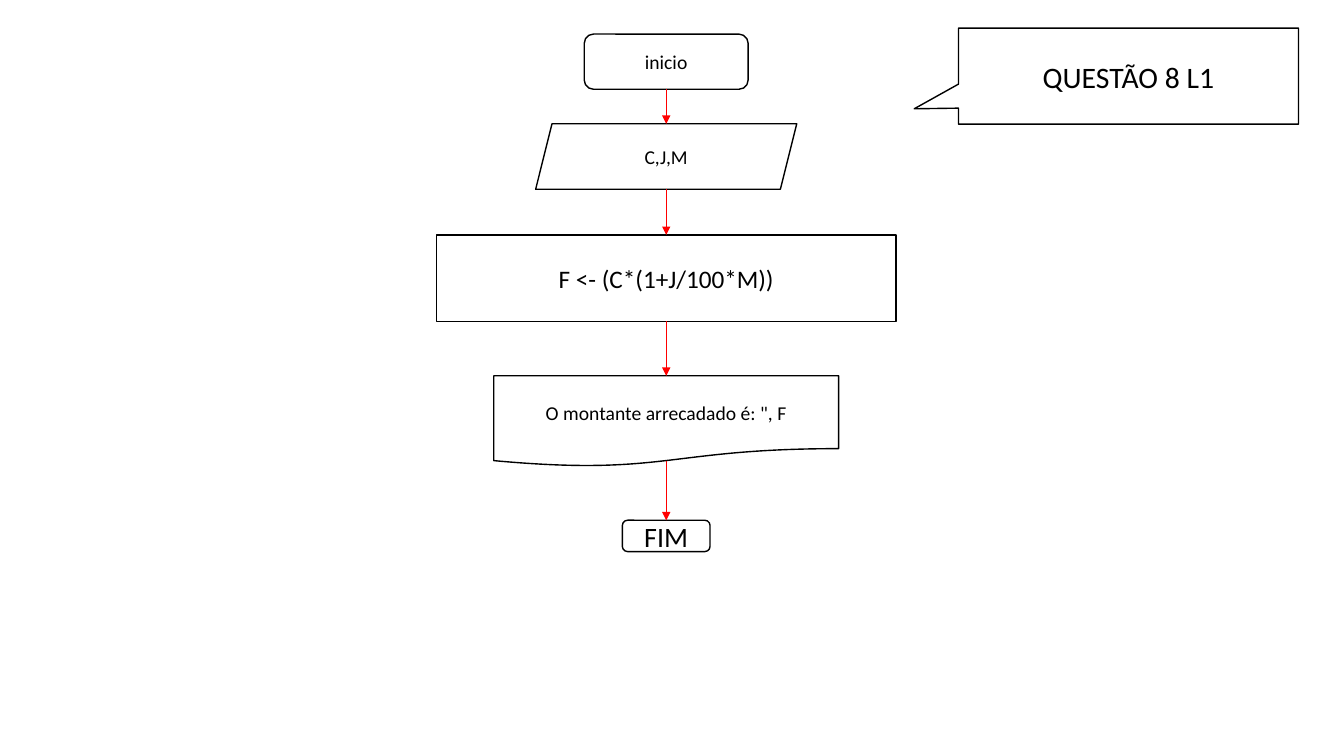
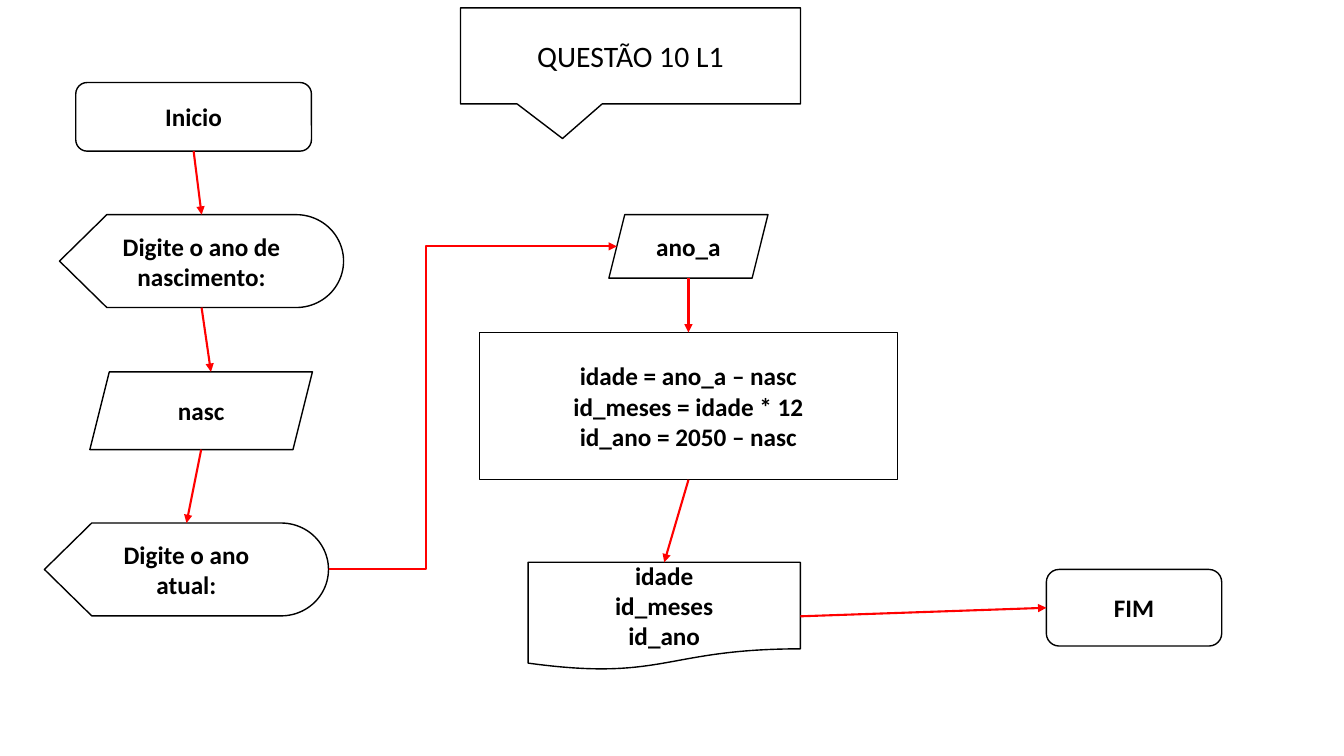
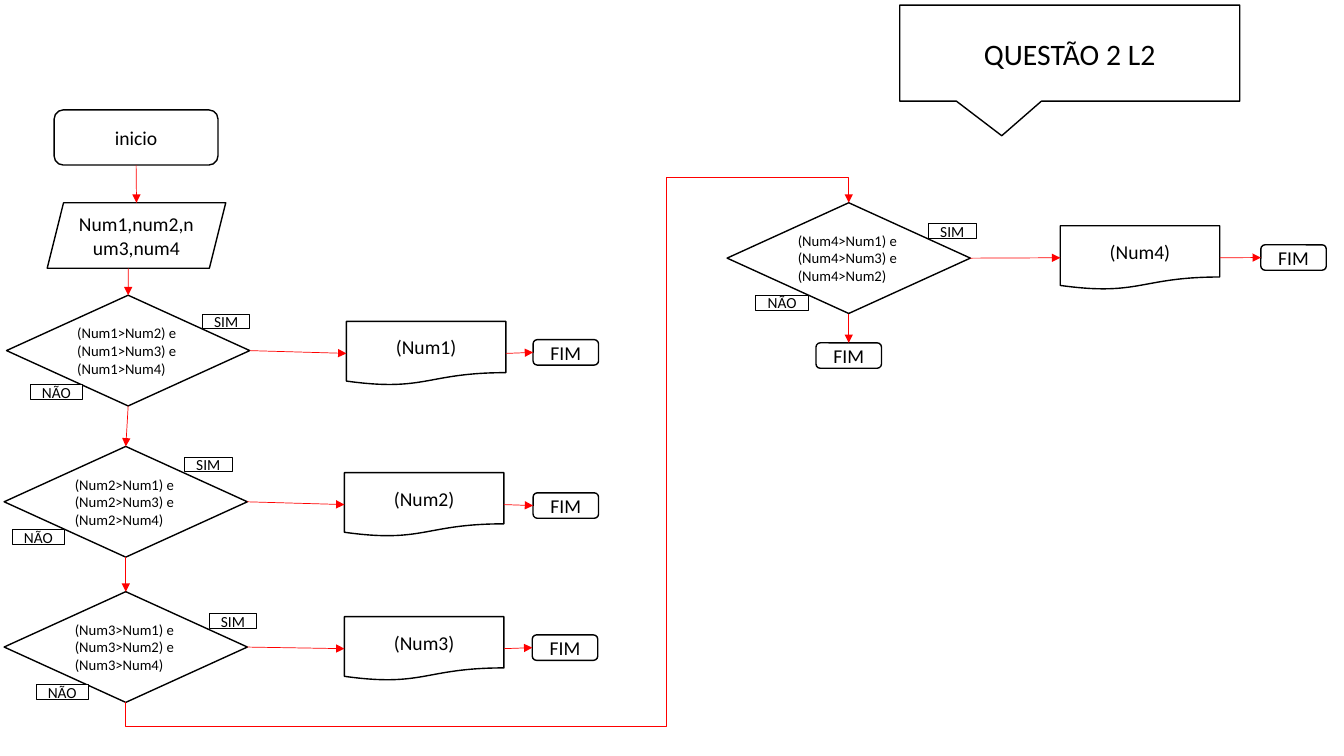
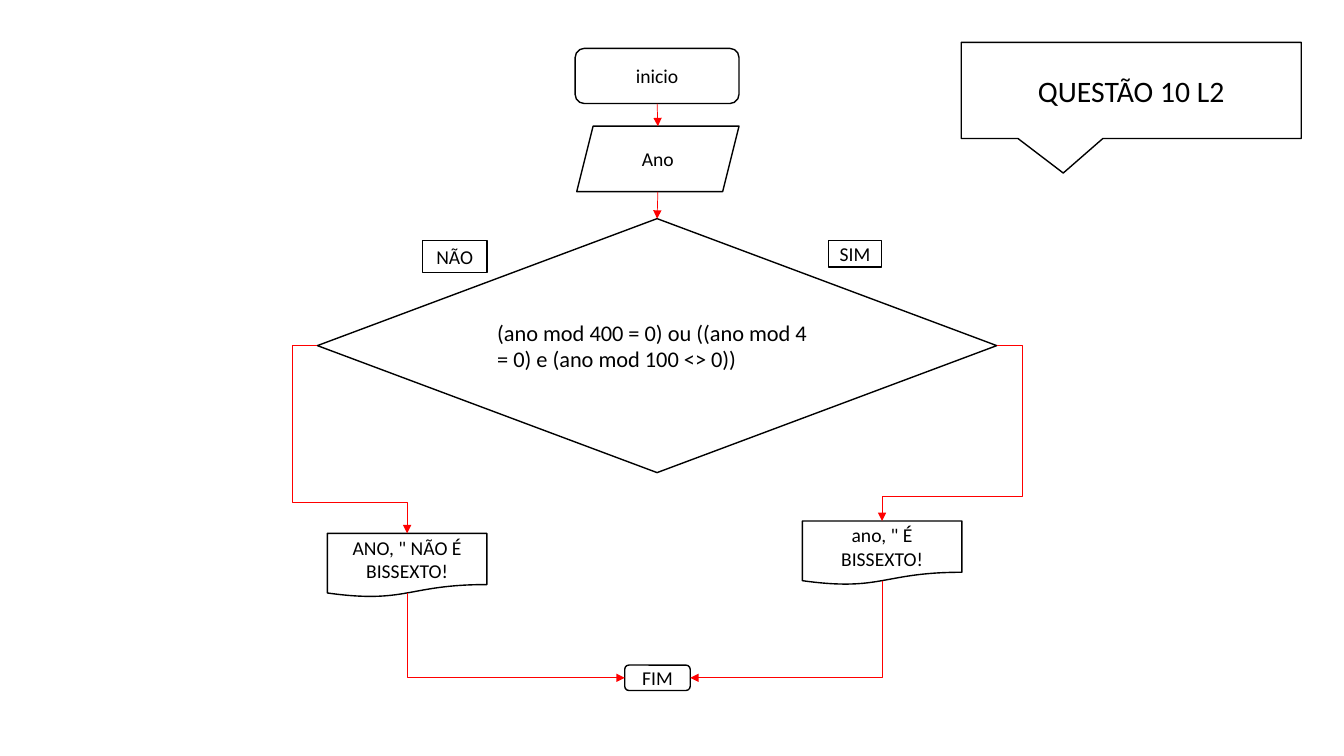
from dataclasses import dataclass

from lxml.etree import SubElement
from pptx import Presentation
from pptx.dml.color import RGBColor
from pptx.enum.shapes import MSO_CONNECTOR, MSO_SHAPE
from pptx.enum.text import MSO_ANCHOR, PP_ALIGN
from pptx.oxml.ns import qn
from pptx.util import Cm, Pt

WHITE = RGBColor(0xFF, 0xFF, 0xFF)
BLACK = RGBColor(0x00, 0x00, 0x00)
RED = RGBColor(0xFF, 0x00, 0x00)
FONT = "Calibri"
LEFT, CENTER = PP_ALIGN.LEFT, PP_ALIGN.CENTER
MIDDLE = MSO_ANCHOR.MIDDLE
STRAIGHT, ELBOW = MSO_CONNECTOR.STRAIGHT, MSO_CONNECTOR.ELBOW

POINTER_LEFT = (-0.63, 0.34)
POINTER_DOWN = (-0.2, 0.86)
SLANT = 0.25
DOCUMENT_BASE = 0.934

SITES = {"top": 0, "left": 1, "bottom": 2, "right": 3}
SLANTED_SITES = {"top": 0, "edge top": 1, "right": 2, "edge bottom": 3, "bottom": 4, "left": 5}


@dataclass
class Kind:
    outline: MSO_SHAPE
    width: float
    height: float
    size: float = 14
    line: float = 1
    align: PP_ALIGN = CENTER


KINDS = {
    "title": Kind(MSO_SHAPE.RECTANGULAR_CALLOUT, 8.57, 2.42, 21.2),
    "start": Kind(MSO_SHAPE.ROUNDED_RECTANGLE, 4.13, 1.39),
    "end": Kind(MSO_SHAPE.ROUNDED_RECTANGLE, 1.65, 0.64),
    "input": Kind(MSO_SHAPE.PARALLELOGRAM, 4.5, 1.65),
    "process": Kind(MSO_SHAPE.RECTANGLE, 11.58, 2.18, 18),
    "prompt": Kind(MSO_SHAPE.FLOWCHART_DISPLAY, 7.16, 2.34),
    "output": Kind(MSO_SHAPE.FLOWCHART_DOCUMENT, 4.02, 1.61),
    "decision": Kind(MSO_SHAPE.DIAMOND, 6.13, 2.79, 10.5, align=LEFT),
    "yes": Kind(MSO_SHAPE.RECTANGLE, 1.2, 0.36, 11, 0.75),
    "no": Kind(MSO_SHAPE.RECTANGLE, 1.32, 0.38, 11, 0.75),
}


@dataclass
class Step:
    kind: str
    text: str
    center: float
    top: float
    width: float = 0
    height: float = 0
    size: float = 0

    def __post_init__(self):
        self.width = self.width or KINDS[self.kind].width
        self.height = self.height or KINDS[self.kind].height

    def site(self, side):
        x, y = self.center, self.top + self.height / 2
        lean = SLANT * min(self.width, self.height) / 2 if self.kind == "input" else 0
        if side.endswith("top"):
            y = self.top
        elif side.endswith("bottom"):
            y = self.top + self.height * (DOCUMENT_BASE if self.kind == "output" else 1)
        elif side == "left":
            x -= self.width / 2 - lean
        else:
            x += self.width / 2 - lean
        if side.startswith("edge"):
            x += lean if side == "edge top" else -lean
        return x, y

    def site_index(self, side):
        return (SLANTED_SITES if self.kind == "input" else SITES)[side]


@dataclass
class Chart:
    title: Step
    pointer: tuple
    steps: dict
    links: list
    arrow: float = 0.5
    size: float = 0
    bold: bool = False


AXIS = 16.79
interest = Chart(
    Step("title", "QUESTÃO 8 L1", 28.44, 0.71), POINTER_LEFT,
    {
        "start": Step("start", "inicio", AXIS, 0.86),
        "input": Step("input", "C,J,M", AXIS, 3.12, 6.58),
        "formula": Step("process", "F <- (C*(1+J/100*M))", AXIS, 5.92),
        "output": Step("output", 'O montante arrecadado é: ", F', AXIS, 9.47, 8.69, 2.29),
        "end": Step("end", "FIM", AXIS, 13.11, 2.21, 0.79, 20),
    },
    [
        ("start", "bottom", "input", "top"),
        ("input", "bottom", "formula", "top"),
        ("formula", "bottom", "output", "top"),
        ("output", "bottom", "end", "top"),
    ],
)

age = Chart(
    Step("title", "QUESTÃO 10 L1", 15.89, 0.2), POINTER_DOWN,
    {
        "start": Step("start", "Inicio", 4.88, 2.08, 5.94, 1.73),
        "ask birth": Step("prompt", "Digite o ano de nascimento:", 5.08, 5.41),
        "birth": Step("input", "nasc", 5.07, 9.37, 5.61, 1.96),
        "ask year": Step("prompt", "Digite o ano atual:", 4.7, 13.18),
        "year": Step("input", "ano_a", 17.35, 5.41, 4.01, 1.6),
        "formulas": Step(
            "process",
            "idade = ano_a – nasc\nid_meses = idade * 12\nid_ano = 2050 – nasc",
            17.35, 8.38, 10.54, 3.71),
        "output": Step("output", "idade\nid_meses\nid_ano", 16.74, 14.17, 6.86, 2.72),
        "end": Step("end", "FIM", 28.58, 14.35, 4.42, 1.93),
    },
    [
        ("start", "bottom", "ask birth", "top"),
        ("ask birth", "bottom", "birth", "edge top"),
        ("birth", "bottom", "ask year", "top"),
        ("ask year", "right", "year", "left", (10.74,)),
        ("year", "bottom", "formulas", "top"),
        ("formulas", "bottom", "output", "top"),
        ("output", "right", "end", "left"),
    ],
    arrow=1.5, size=18, bold=True,
)

largest = Chart(
    Step("title", "QUESTÃO 2 L2", 26.96, 0.13), POINTER_DOWN,
    {
        "start": Step("start", "inicio", 3.43, 2.77),
        "input": Step("input", "Num1,num2,num3,num4", 3.44, 5.11),
        "end": Step("end", "FIM", 21.39, 8.64),
    },
    [
        ("start", "bottom", "input", "top"),
        ("input", "edge bottom", "decision 1", "top"),
        ("decision 1", "bottom", "decision 2", "top"),
        ("decision 2", "bottom", "decision 3", "top"),
        ("decision 3", "bottom", "decision 4", "top", (18.31, 16.79, 4.47)),
        ("decision 4", "bottom", "end", "top"),
    ],
)
COMPARISONS = [
    (1, (2, 3, 4), (3.23, 7.44), (10.74, 8.1), (14.26, 8.56), (5.7, 7.92), (1.42, 9.7)),
    (2, (1, 3, 4), (3.17, 11.25), (10.69, 11.91), (14.26, 12.42), (5.25, 11.53), (0.97, 13.34)),
    (3, (1, 2, 4), (3.17, 14.91), (10.69, 15.54), (14.24, 16), (5.87, 15.47), (1.57, 17.25)),
    (4, (1, 3, 2), (21.39, 5.11), (28.73, 5.69), (32.6, 6.17), (24, 5.64), (19.71, 7.44)),
]
for number, others, decision, output, end, yes, no in COMPARISONS:
    condition = " e ".join(f"(Num{number}>Num{other})" for other in others)
    largest.steps |= {
        f"decision {number}": Step("decision", condition, *decision),
        f"output {number}": Step("output", f"(Num{number})", *output),
        f"end {number}": Step("end", "FIM", *end),
        f"yes {number}": Step("yes", "SIM", *yes),
        f"no {number}": Step("no", "NÃO", *no),
    }
    largest.links += [
        (f"decision {number}", "right", f"output {number}", "left"),
        (f"output {number}", "right", f"end {number}", "left"),
    ]

leap_year = Chart(
    Step("title", "QUESTÃO 10 L2", 28.51, 1.07), POINTER_DOWN,
    {
        "start": Step("start", "inicio", 16.56, 1.22),
        "input": Step("input", "Ano", 16.58, 3.18, 4.09),
        "decision": Step(
            "decision", "(ano mod 400 = 0) ou ((ano mod 4 = 0) e (ano mod 100 <> 0))",
            16.56, 5.51, 17.12, 6.4, 16),
        "leap": Step("output", 'ano, " É BISSEXTO!', 22.23, 13.13),
        "common": Step("output", 'ANO, " NÃO É BISSEXTO!', 10.26, 13.44),
        "no": Step("no", "NÃO", 11.46, 6.07, 1.63, 0.81, 14),
        "yes": Step("yes", "SIM", 21.55, 6.07, 1.35, 0.66, 14),
        "end": Step("end", "FIM", 16.57, 16.76),
    },
    [
        ("start", "bottom", "input", "top"),
        ("input", "bottom", "decision", "top"),
        ("decision", "left", "common", "top", (7.37, 12.67)),
        ("decision", "right", "leap", "top", (25.76, 12.52)),
        ("leap", "bottom", "end", "right", ()),
        ("common", "bottom", "end", "left", ()),
    ],
)


def draw_step(slide, step, size=0, bold=False):
    kind = KINDS[step.kind]
    shape = slide.shapes.add_shape(
        kind.outline, Cm(step.center - step.width / 2), Cm(step.top),
        Cm(step.width), Cm(step.height))
    shape.shadow.inherit = False
    shape.fill.solid()
    shape.fill.fore_color.rgb = WHITE
    shape.line.color.rgb = BLACK
    shape.line.width = Pt(kind.line)
    frame = shape.text_frame
    frame.text = step.text
    frame.word_wrap = True
    frame.vertical_anchor = MIDDLE
    for paragraph in frame.paragraphs:
        paragraph.alignment = kind.align
        for run in paragraph.runs:
            run.font.name = FONT
            run.font.size = Pt(step.size or size or kind.size)
            run.font.bold = bold
            run.font.color.rgb = BLACK
    return shape


def add_elbow(slide, start, end, side, bends):
    axis = 0 if side in ("left", "right") else 1
    delta = [b - a for a, b in zip(start, end)]
    middle = [(a + b) / 2 for a, b in zip(start, end)]
    along, across = (delta[0], delta[1]) if axis == 0 else (delta[1], -delta[0])
    half_width, half_height = abs(along) / 2, abs(across) / 2
    connector = slide.shapes.add_connector(
        ELBOW, Cm(middle[0] - half_width), Cm(middle[1] - half_height),
        Cm(middle[0] + half_width), Cm(middle[1] + half_height))
    properties = connector._element.spPr
    frame = properties.find(qn("a:xfrm"))
    if axis == 1:
        frame.set("rot", str(90 * 60000))
    if along < 0:
        frame.set("flipH", "1")
    if across < 0:
        frame.set("flipV", "1")
    geometry = properties.find(qn("a:prstGeom"))
    geometry.set("prst", f"bentConnector{len(bends) + 2}")
    guides = geometry.find(qn("a:avLst"))
    if guides is None:
        guides = SubElement(geometry, qn("a:avLst"))
    for position, bend in enumerate(bends):
        direction = (axis + position) % 2
        ratio = (bend - start[direction]) / delta[direction]
        SubElement(guides, qn("a:gd"), name=f"adj{position + 1}",
                   fmla=f"val {round(ratio * 100000)}")
    return connector


def draw_link(slide, chart, shapes, source, source_side, target, target_side, bends=None):
    start = chart.steps[source].site(source_side)
    end = chart.steps[target].site(target_side)
    if bends is None:
        connector = slide.shapes.add_connector(STRAIGHT, *map(Cm, start + end))
    else:
        connector = add_elbow(slide, start, end, source_side, bends)
    connector.line.color.rgb = RED
    connector.line.width = Pt(chart.arrow)
    SubElement(connector.line._get_or_add_ln(), qn("a:tailEnd"), type="triangle")
    SubElement(connector._element.spPr, qn("a:effectLst"))
    joints = connector._element.nvCxnSpPr.cNvCxnSpPr
    for tag, name, side in (("a:stCxn", source, source_side), ("a:endCxn", target, target_side)):
        SubElement(joints, qn(tag), id=str(shapes[name].shape_id),
                   idx=str(chart.steps[name].site_index(side)))


def draw_chart(deck, chart):
    slide = deck.slides.add_slide(deck.slide_layouts[6])
    title = draw_step(slide, chart.title)
    title.adjustments[0], title.adjustments[1] = chart.pointer
    shapes = {name: draw_step(slide, step, chart.size, chart.bold)
              for name, step in chart.steps.items()}
    for link in chart.links:
        draw_link(slide, chart, shapes, *link)


def main():
    deck = Presentation()
    deck.slide_width, deck.slide_height = Cm(33.87), Cm(19.05)
    for chart in (interest, age, largest, leap_year):
        draw_chart(deck, chart)
    deck.save("out.pptx")


if __name__ == "__main__":
    main()
